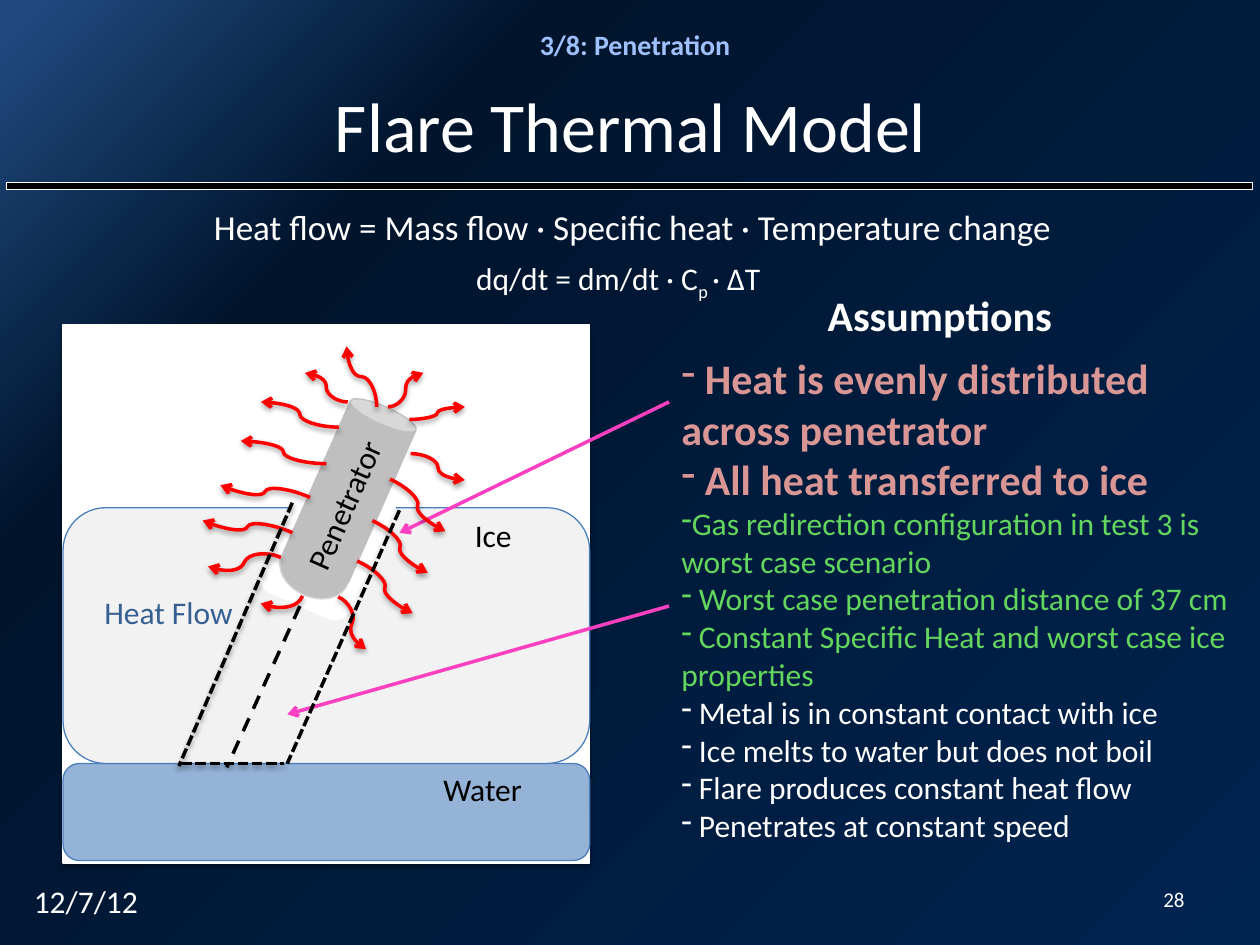
"""Build the flare thermal model slide."""
from typing import NamedTuple

from lxml.etree import SubElement as Sub
from pptx import Presentation as Deck
from pptx.dml.color import RGBColor as Rgb
from pptx.enum.dml import MSO_LINE as Dash
from pptx.enum.shapes import MSO_CONNECTOR as Link, MSO_SHAPE as Form
from pptx.enum.text import MSO_ANCHOR as Anchor, MSO_AUTO_SIZE as Fit, PP_ALIGN as Align
from pptx.oxml.ns import qn
from pptx.util import Inches, Pt

HUES = {
    "white": "FFFFFF", "black": "000000", "sky": "A0C1FF", "water": "95B3D7",
    "ice": "F2F2F2", "edge": "4B7EBC", "steel": "376092", "pink": "FA40C1",
    "metal": "BFBFBF", "rim": "D9D9D9", "red": "FF0000", "rose": "D99694",
    "green": "63D65E", "top": "1F497D", "mid": "00142C", "low": "002451",
}


class Block(NamedTuple):
    form: Form
    box: tuple
    fill: str
    edge: str
    turn: float = 0
    shade: bool = False
    width: float = 0.75


class Note(NamedTuple):
    text: str
    box: tuple
    size: int = 18
    hue: str = "white"
    bold: bool = False
    wrap: bool = False
    align: Align = Align.LEFT
    turn: float = 0


class Line(NamedTuple):
    start: tuple
    end: tuple
    hue: str
    dash: Dash | None = None
    head: bool = False
    shade: bool = False


class Wave(NamedTuple):
    box: tuple
    turn: float = 0
    flip: bool = False
    kind: int = 3


PANEL = [
    Block(Form.RECTANGLE, (0.05, 1.45, 9.89, 0.05), "black", "white", width=0.25),
    Block(Form.RECTANGLE, (0.5, 2.58, 4.18, 4.27), "white", "white", shade=True),
    Block(Form.ROUNDED_RECTANGLE, (0.5, 6.06, 4.18, 0.77), "water", "edge"),
    Block(Form.ROUNDED_RECTANGLE, (0.5, 4.03, 4.18, 2.03), "ice", "edge"),
]
BODY = [
    Block(Form.ROUNDED_RECTANGLE, (2.29, 3.41, 0.76, 1.46), "white", "white", 23.9),
    Block(Form.OVAL, (2.21, 4.32, 0.57, 0.42), "metal", "rim", 23.9),
    Block(Form.CAN, (2.49, 3.17, 0.57, 1.46), "metal", "metal", 23.9),
]
NOTES = [
    Note("3/8: Penetration", (3.25, 0.17, 3.58, 0.37), 16, "sky", True, True, Align.CENTER),
    Note("Ice", (3.67, 4.05, 0.5, 0.4), hue="black"),
    Note("Water", (3.42, 6.06, 0.83, 0.4), hue="black"),
    Note("Heat Flow", (0.73, 4.66, 1.27, 0.4), hue="steel"),
    Note("Penetrator", (2.08, 3.8, 1.3, 0.4), hue="black", turn=293.9),
    Note("Heat flow = Mass flow · Specific heat · Temperature change", (1.6, 1.58, 6.9, 0.44), 20),
    Note("Assumptions", (6.47, 2.25, 2, 0.5), 24, bold=True),
    Note("12/7/12", (0.17, 6.95, 2.33, 0.4), wrap=True),
    Note("28", (9.08, 6.99, 0.42, 0.3), 12, wrap=True, align=Align.RIGHT),
]
POINTS = [
    (24, "rose", True, [" Heat is evenly distributed across penetrator",
                        " All heat transferred to ice"]),
    (18, "green", False, ["Gas redirection configuration in test 3 is worst case scenario",
                          " Worst case penetration distance of 37 cm",
                          " Constant Specific Heat and worst case ice properties"]),
    (18, "white", False, [" Metal is in constant contact with ice",
                          " Ice melts to water but does not boil",
                          " Flare produces constant heat flow",
                          " Penetrates at constant speed"]),
]
CALLS = [Line((5.31, 3.19), (3.17, 4.23), "pink", head=True),
         Line((5.31, 4.81), (2.28, 5.67), "pink", head=True)]
EDGES = [
    Line((2.38, 4.81), (1.8, 6.09), "black", Dash.DASH),
    Line((3.17, 4.05), (2.28, 6.06), "black", Dash.SQUARE_DOT),
    Line((2.32, 3.99), (1.42, 6.08), "black", Dash.SQUARE_DOT, shade=True),
    Line((1.44, 6.06), (2.25, 6.06), "black", Dash.SQUARE_DOT, shade=True),
]
WAVES = [
    Wave((1.69, 4.31, 0.5, 0.3), 203.9, True),
    Wave((2.61, 4.8, 0.37, 0.29), 23.9),
    Wave((2.14, 4.62, 0.19, 0.28), 113.9, kind=2),
    *(Wave((x, y, 0.57, 0.2), 23.9) for x, y in [(2.77, 4.56), (2.89, 4.24), (3.03, 3.91)]),
    *(Wave((x, y, 0.69, 0.2), 203.9, True) for x, y in [(1.62, 4.08), (1.76, 3.8)]),
    Wave((1.91, 3.5, 0.68, 0.18), 180),
    Wave((2.07, 3.19, 0.62, 0.2), 180),
    Wave((3.26, 3.6, 0.43, 0.21)),
    Wave((3.25, 3.23, 0.44, 0.1), flip=True),
    Wave((2.42, 2.96, 0.34, 0.23), 180),
    Wave((2.63, 2.87, 0.48, 0.24), 270, True),
    Wave((3.08, 2.96, 0.28, 0.27), flip=True),
]


def tint(name: str) -> Rgb:
    return Rgb.from_string(HUES[name])


def style(font, size: int, hue: str, bold: bool = False) -> None:
    for key, value in {"name": "Calibri", "size": Pt(size), "bold": bold}.items():
        setattr(font, key, value)
    font.color.rgb = tint(hue)


def shade(props, show: bool) -> None:
    glow = props.find(qn("a:effectLst"))
    if glow is None:
        glow = Sub(props, qn("a:effectLst"))
    if show:
        cast = Sub(glow, qn("a:outerShdw"), blurRad="39370", dist="21590", dir="5400000")
        black = Sub(cast, qn("a:srgbClr"), val=HUES["black"])
        Sub(black, qn("a:alpha"), val="37000")


def paint(slide) -> None:
    fill = slide.background.fill
    fill.gradient()
    grad = next(slide.element.iter(qn("a:gradFill")))
    stops = grad.find(qn("a:gsLst"))
    stops.clear()
    for place, name in [(2, "top"), (25, "mid"), (100, "low")]:
        stop = Sub(stops, qn("a:gs"), pos=str(place * 1000))
        Sub(stop, qn("a:srgbClr"), val=HUES[name])
    fill.gradient_angle = 315


def block(slide, item: Block) -> None:
    shape = slide.shapes.add_shape(item.form, *map(Inches, item.box))
    shape.rotation = item.turn
    shape.fill.solid()
    shape.fill.fore_color.rgb = tint(item.fill)
    shape.line.color.rgb = tint(item.edge)
    shape.line.width = Pt(item.width)
    shape.shadow.inherit = False
    shade(shape.element.spPr, item.shade)


def note(slide, item: Note):
    shape = slide.shapes.add_textbox(*map(Inches, item.box))
    shape.rotation = item.turn
    frame = shape.text_frame
    for key, value in {"word_wrap": item.wrap, "auto_size": Fit.SHAPE_TO_FIT_TEXT}.items():
        setattr(frame, key, value)
    para = frame.paragraphs[0]
    para.text, para.alignment = item.text, item.align
    style(para.font, item.size, item.hue, item.bold)
    return para


def trim(link, hue: str, dash: Dash | None, head: bool, cast: bool) -> None:
    link.line.color.rgb = tint(hue)
    link.line.width = Pt(2)
    if dash:
        link.line.dash_style = dash
    props = link.element.spPr
    if head:
        Sub(props.find(qn("a:ln")), qn("a:tailEnd"), type="arrow")
    shade(props, cast)


def line(slide, item: Line) -> None:
    link = slide.shapes.add_connector(Link.STRAIGHT, *map(Inches, item.start + item.end))
    trim(link, item.hue, item.dash, item.head, item.shade)


def wave(slide, item: Wave) -> None:
    x, y, w, h = item.box
    y1, y2 = (y + h, y) if item.flip else (y, y + h)
    link = slide.shapes.add_connector(Link.CURVE, *map(Inches, (x, y1, x + w, y2)))
    props = link.element.spPr
    props.find(qn("a:xfrm")).set("rot", str(round(item.turn * 60000)))
    props.find(qn("a:prstGeom")).set("prst", f"curvedConnector{item.kind}")
    trim(link, "red", None, True, True)


def head(slide) -> None:
    title = slide.shapes.title
    for key, value in zip(("left", "top", "width", "height"), (0.88, 0.55, 8.25, 0.88)):
        setattr(title, key, Inches(value))
    title.text_frame.text = "Flare Thermal Model"
    title.text_frame.vertical_anchor = Anchor.MIDDLE
    style(title.text_frame.paragraphs[0].font, 40, "white")


def rate(slide) -> None:
    para = note(slide, Note("dq/dt = dm/dt · C", (3.68, 2.01, 2.5, 0.4)))
    for text, base in [("p ", "-25000"), ("· ΔT", "0")]:
        run = para.add_run()
        run.text = text
        run.font.element.set("baseline", base) if hasattr(run.font, "element") else \
            run._r.get_or_add_rPr().set("baseline", base)


def points(slide) -> None:
    frame = slide.shapes.add_textbox(*map(Inches, (5.31, 2.75, 4.69, 4.34))).text_frame
    frame.word_wrap = True
    rows = [(text, look) for *look, texts in POINTS for text in texts]
    for spot, (text, look) in enumerate(rows):
        para = frame.add_paragraph() if spot else frame.paragraphs[0]
        para.text = text
        Sub(para._p.get_or_add_pPr(), qn("a:buChar"), char="-")
        style(para.font, *look)
        style(para.runs[0].font, *look)


def main() -> None:
    deck = Deck()
    deck.slide_width, deck.slide_height = Inches(10), Inches(7.5)
    slide = deck.slides.add_slide(deck.slide_layouts[5])
    paint(slide)
    head(slide)
    for draw, items in [(block, PANEL), (line, CALLS), (block, BODY), (note, NOTES),
                        (wave, WAVES), (line, EDGES)]:
        for item in items:
            draw(slide, item)
    rate(slide)
    points(slide)
    deck.save("out.pptx")


if __name__ == "__main__":
    main()
